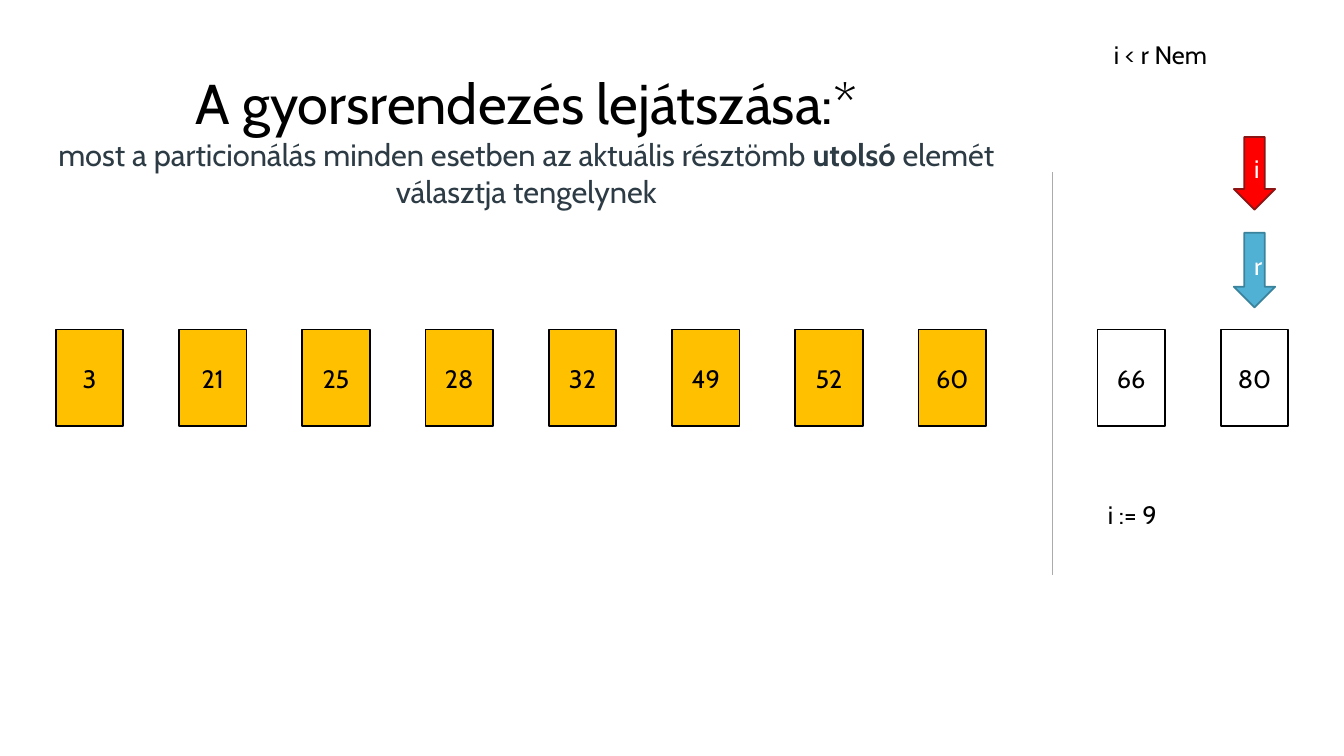
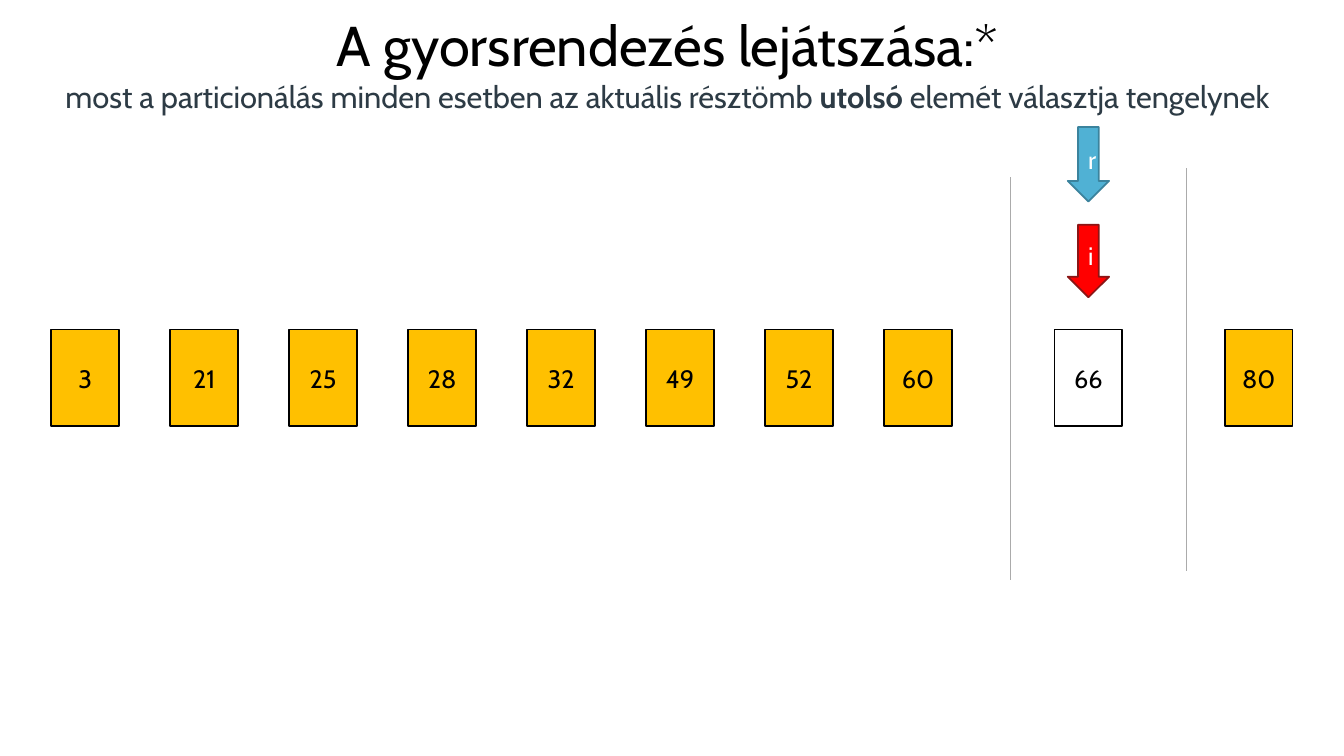
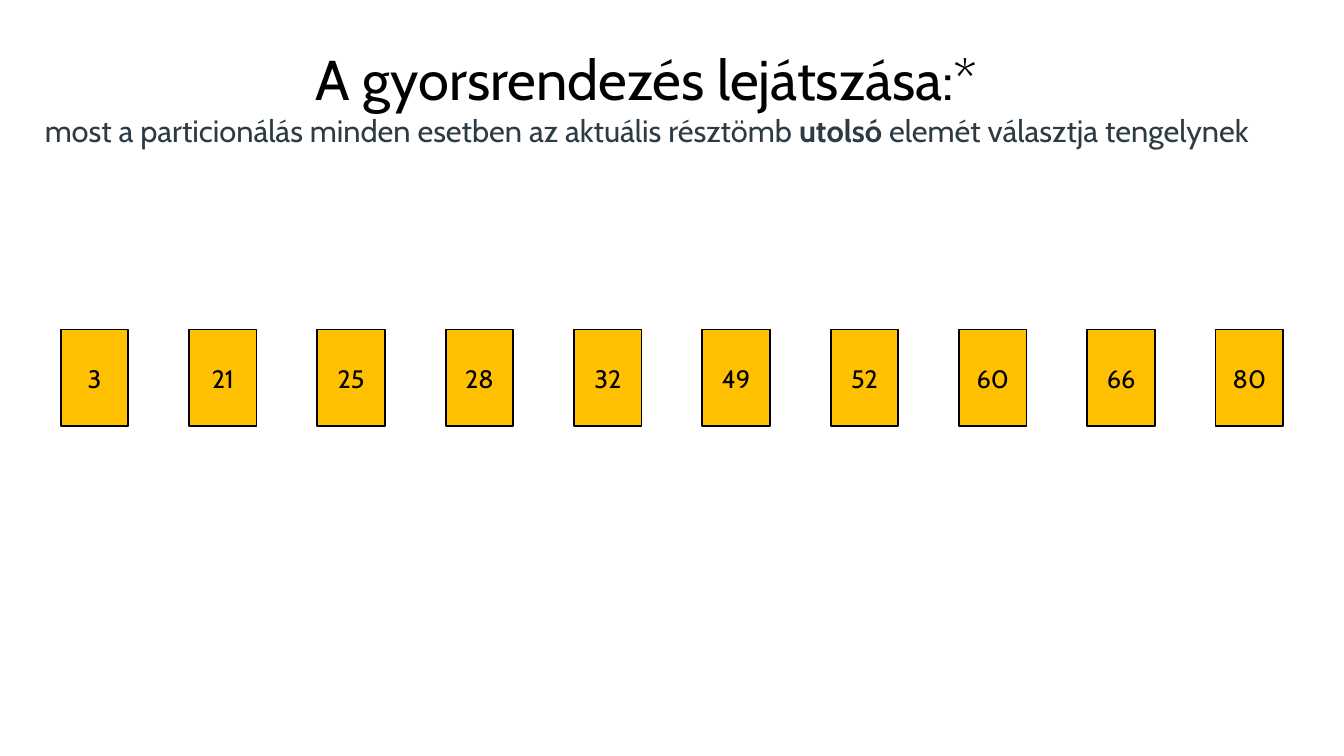
from lxml.etree import SubElement
from pptx import Presentation
from pptx.dml.color import RGBColor
from pptx.enum.shapes import MSO_CONNECTOR as CONNECTOR, MSO_SHAPE as SHAPE
from pptx.enum.text import MSO_ANCHOR as ANCHOR, PP_ALIGN as ALIGN
from pptx.oxml.ns import qn
from pptx.util import Inches, Pt

BLACK = RGBColor(0x00, 0x00, 0x00)
WHITE = RGBColor(0xFF, 0xFF, 0xFF)
SORTED = RGBColor(0xFF, 0xC0, 0x00)
SUBTITLE = RGBColor(0x2D, 0x3B, 0x45)
DIVIDER = RGBColor(0xAB, 0xAB, 0xAB)
FONT = "Cabin"

SLIDE_W, SLIDE_H = 13.33, 7.5
CELL_W, CELL_H, CELL_TOP = 0.67, 0.96, 3.27
POINTER_W = 0.41
DIVIDER_H = 3.99

# letter: (fill, outline, height)
POINTERS = {
    "i": (RGBColor(0xFF, 0x00, 0x00), RGBColor(0x8B, 0x15, 0x15), 0.72),
    "r": (RGBColor(0x50, 0xB1, 0xD4), RGBColor(0x3B, 0x83, 0x9D), 0.74),
}
VALUES = [3, 21, 25, 28, 32, 49, 52, 60, 66, 80]


def add_run(paragraph, text, size=18, color=BLACK, bold=False):
    run = paragraph.add_run()
    run.text = text
    run.font.name = FONT
    run.font.size = Pt(size)
    run.font.bold = bold
    run.font.color.rgb = color


def add_text_area(slide, left, top, width, height):
    """Add a wrapping text box and return its text frame."""
    frame = slide.shapes.add_textbox(
        Inches(left), Inches(top), Inches(width), Inches(height)).text_frame
    frame.word_wrap = True
    return frame


def add_title(slide, left, top, width, height):
    frame = add_text_area(slide, left, top, width, height)
    frame.vertical_anchor = ANCHOR.MIDDLE
    heading = frame.paragraphs[0]
    heading.alignment = ALIGN.CENTER
    add_run(heading, "A gyorsrendezés lejátszása:*", 40)
    heading.add_line_break()
    add_run(heading, "most a particionálás minden esetben az aktuális résztömb ",
            22, SUBTITLE)
    add_run(heading, "utolsó", 22, SUBTITLE, bold=True)
    add_run(heading, " elemét választja tengelynek", 22, SUBTITLE)


def add_note(slide, left, top, width, text):
    frame = add_text_area(slide, left, top, width, 0.4)
    add_run(frame.paragraphs[0], text)


def add_figure(slide, preset, box, fill, outline, text, text_color):
    """Add a filled, outlined shape with a centred label."""
    figure = slide.shapes.add_shape(preset, *(Inches(length) for length in box))
    figure.shadow.inherit = False
    figure.fill.solid()
    figure.fill.fore_color.rgb = fill
    figure.line.color.rgb = outline
    figure.line.width = Pt(1.25)
    figure.text_frame.vertical_anchor = ANCHOR.MIDDLE
    label = figure.text_frame.paragraphs[0]
    label.alignment = ALIGN.CENTER
    add_run(label, text, color=text_color)


def cell_lefts(group_starts):
    """Left edges of the cells; margins and gaps are equal, double before a group."""
    count = len(VALUES)
    gap = (SLIDE_W - count * CELL_W) / (count + 1 + len(group_starts))
    return [gap + index * (CELL_W + gap)
            + gap * sum(start <= index for start in group_starts)
            for index in range(count)]


def add_array(slide, group_starts=(), unsorted=()):
    """Draw the array and return the left edges of its cells."""
    lefts = cell_lefts(group_starts)
    for index, (left, value) in enumerate(zip(lefts, VALUES)):
        fill = WHITE if index in unsorted else SORTED
        add_figure(slide, SHAPE.RECTANGLE, (left, CELL_TOP, CELL_W, CELL_H),
                   fill, BLACK, str(value), BLACK)
    return lefts


def add_pointer(slide, letter, cell_left, top):
    """Draw a down arrow centred over a cell."""
    fill, outline, height = POINTERS[letter]
    left = cell_left + (CELL_W - POINTER_W) / 2
    add_figure(slide, SHAPE.DOWN_ARROW, (left, top, POINTER_W, height),
               fill, outline, letter, WHITE)


def add_divider(slide, x, top):
    divider = slide.shapes.add_connector(
        CONNECTOR.STRAIGHT, Inches(x), Inches(top), Inches(x), Inches(top + DIVIDER_H))
    divider.line.color.rgb = DIVIDER
    divider.line.width = Pt(0.75)
    SubElement(divider.element.spPr, qn("a:effectLst"))


def build_last_pair(slide):
    lefts = add_array(slide, group_starts=(8,), unsorted=(8, 9))
    add_pointer(slide, "r", lefts[9], 2.31)
    add_pointer(slide, "i", lefts[9], 1.36)
    add_note(slide, 10.89, 4.9, 1.61, "i := 9")
    add_note(slide, 10.95, 0.34, 2.1, "i < r Nem")
    add_title(slide, 0, 0.17, 10.44, 2.42)
    add_divider(slide, 10.44, 1.71)


def build_single_cell(slide):
    lefts = add_array(slide, group_starts=(8, 9), unsorted=(8,))
    add_pointer(slide, "r", lefts[8], 1.26)
    add_pointer(slide, "i", lefts[8], 2.23)
    add_divider(slide, 10.02, 1.76)
    add_divider(slide, 11.77, 1.67)
    add_title(slide, 0.42, -0.16, 12.4, 1.56)


def build_sorted(slide):
    add_array(slide)
    add_title(slide, 0.3, 0.18, 12.23, 1.56)


def main():
    deck = Presentation()
    deck.slide_width = Inches(SLIDE_W)
    deck.slide_height = Inches(SLIDE_H)
    blank = deck.slide_layouts[6]
    for build in (build_last_pair, build_single_cell, build_sorted):
        build(deck.slides.add_slide(blank))
    deck.save("out.pptx")


if __name__ == "__main__":
    main()
